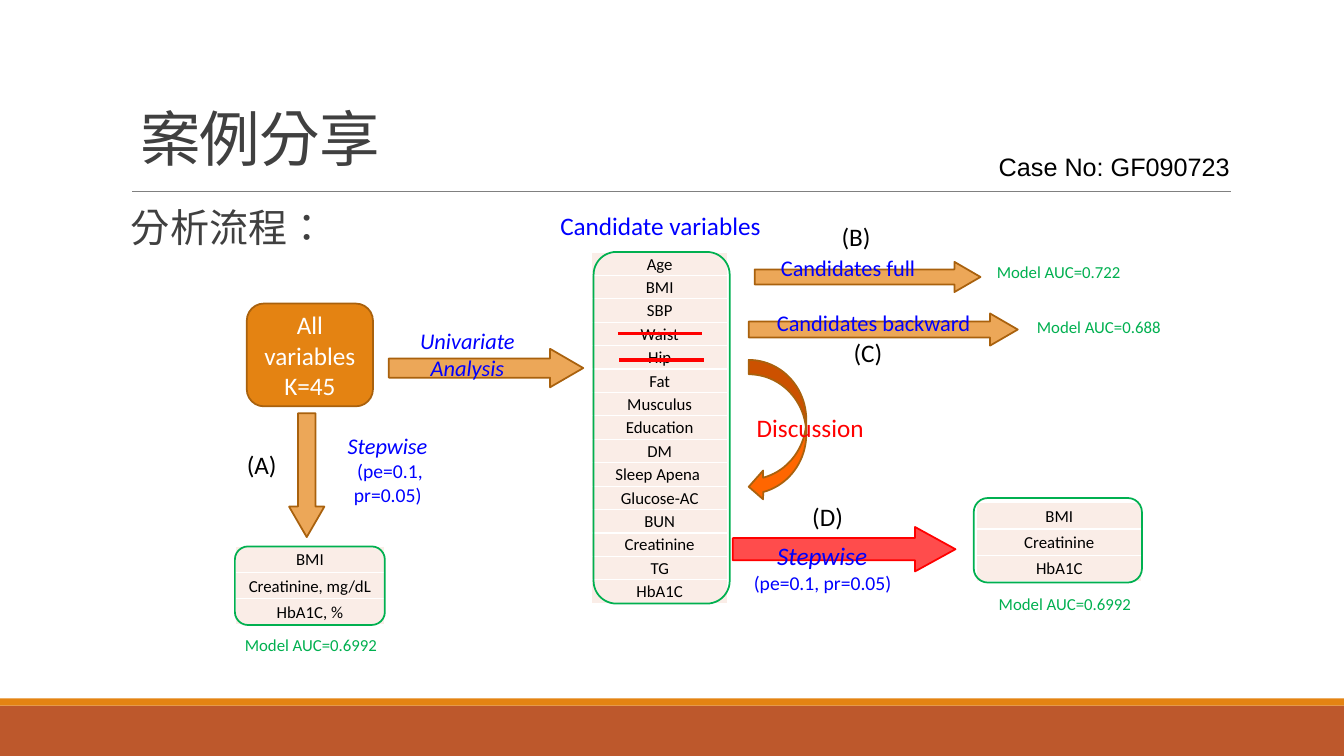
from dataclasses import dataclass

import pptx
import pptx.dml.color
import pptx.enum.shapes
import pptx.enum.text
import pptx.oxml
import pptx.oxml.ns
import pptx.util

Cm = pptx.util.Cm
Pt = pptx.util.Pt
SHAPE = pptx.enum.shapes.MSO_SHAPE
ALIGN = pptx.enum.text.PP_ALIGN
ANCHOR = pptx.enum.text.MSO_ANCHOR
qn = pptx.oxml.ns.qn

ORANGE, BROWN, RUST = "E48312", "A9610D", "BD582C"
BLUE, GREEN, RED = "0000FF", "00B050", "FF0000"
BLACK, WHITE, GREY, INK, BLUSH = "000000", "FFFFFF", "808080", "404040", "FAEDE7"
CJK = "Noto Sans CJK SC"


@dataclass
class Area:
    left: float
    top: float
    width: float
    height: float

    def lengths(self) -> tuple:
        return Cm(self.left), Cm(self.top), Cm(self.width), Cm(self.height)


@dataclass
class Line:
    text: str
    size: float = 18
    italic: bool = False


@dataclass
class Label:
    area: Area
    lines: list[Line]
    colour: str = BLUE
    wrap: bool = False
    align: ALIGN = ALIGN.LEFT
    font: str = "Calibri"


@dataclass
class Arrow:
    area: Area
    fill: str = ORANGE
    outline: str = BROWN
    rotation: float = 0
    head: float = 0.862


@dataclass
class VariableList:
    area: Area
    outline: Area
    names: list[str]


def rgb(colour: str) -> pptx.dml.color.RGBColor:
    return pptx.dml.color.RGBColor.from_string(colour)


def style(para, size: float, colour: str, font: str = "Calibri", italic: bool = False) -> None:
    para.font.name, para.font.size, para.font.italic = font, Pt(size), italic
    para.font.color.rgb = rgb(colour)


def write(frame, lines: list[Line], colour: str, align: ALIGN, font: str = "Calibri") -> None:
    for number, line in enumerate(lines):
        para = frame.add_paragraph() if number else frame.paragraphs[0]
        para.text, para.alignment = line.text, align
        style(para, line.size, colour, font, line.italic)


def add_box(page, kind: SHAPE, area: Area, fill: str = "", outline: str = "", opacity: int = 100):
    box = page.shapes.add_shape(kind, *area.lengths())
    box.shadow.inherit = False
    if fill:
        box.fill.solid()
        box.fill.fore_color.rgb = rgb(fill)
        if opacity < 100:
            tint = box.element.spPr.find(".//" + qn("a:srgbClr"))
            tint.append(tint.makeelement(qn("a:alpha"), {"val": str(opacity * 1000)}))
    else:
        box.fill.background()
    if outline:
        box.line.color.rgb = rgb(outline)
        box.line.width = Pt(1.25)
    else:
        box.line.fill.background()
    return box


def add_arrow(page, arrow: Arrow) -> None:
    box = add_box(page, SHAPE.RIGHT_ARROW, arrow.area, arrow.fill, arrow.outline, opacity=70)
    box.adjustments[1] = arrow.head
    box.rotation = arrow.rotation


def add_line(page, left: float, right: float, top: float, colour: str, width: float) -> None:
    line = page.shapes.add_connector(
        pptx.enum.shapes.MSO_CONNECTOR.STRAIGHT, Cm(left), Cm(top), Cm(right), Cm(top))
    line.line.color.rgb = rgb(colour)
    line.line.width = Pt(width)
    properties = line.element.spPr
    properties.append(properties.makeelement(qn("a:effectLst"), {}))


def add_label(page, label: Label) -> None:
    frame = page.shapes.add_textbox(*label.area.lengths()).text_frame
    frame.word_wrap = label.wrap
    frame.auto_size = pptx.enum.text.MSO_AUTO_SIZE.SHAPE_TO_FIT_TEXT
    write(frame, label.lines, label.colour, label.align, label.font)


def add_variables(page, variables: VariableList) -> None:
    count = len(variables.names)
    table = page.shapes.add_table(count, 1, *variables.area.lengths()).table
    table.first_row = table.horz_banding = False
    for row, name in zip(table.rows, variables.names):
        row.height = Cm(variables.area.height / count)
        cell = row.cells[0]
        cell.margin_left = cell.margin_right = cell.margin_top = Cm(0.03)
        cell.margin_bottom = 0
        cell.vertical_anchor = ANCHOR.MIDDLE
        write(cell.text_frame, [Line(name, 12)], BLACK, ALIGN.CENTER)
        borders = cell._tc.get_or_add_tcPr()
        for side in ("lnL", "lnR", "lnT", "lnB"):
            borders.append(pptx.oxml.parse_xml(
                f'<a:{side} {pptx.oxml.ns.nsdecls("a")} w="12700"><a:solidFill>'
                f'<a:srgbClr val="{WHITE}"/></a:solidFill></a:{side}>'))
        cell.fill.solid()
        cell.fill.fore_color.rgb = rgb(BLUSH)
    add_box(page, SHAPE.ROUNDED_RECTANGLE, variables.outline, outline=GREEN)


def fill_placeholder(holder, area: Area, text: str, size: float, spacing: float):
    holder.left, holder.top, holder.width, holder.height = area.lengths()
    holder.text_frame.auto_size = pptx.enum.text.MSO_AUTO_SIZE.NONE
    para = holder.text_frame.paragraphs[0]
    para.text, para.alignment, para.line_spacing = text, ALIGN.LEFT, spacing
    style(para, size, INK, CJK)
    fonts = para.font._element
    fonts.set("lang", "zh-TW")
    fonts.append(fonts.makeelement(qn("a:ea"), {"typeface": CJK}))
    return para


VARIABLES = [
    VariableList(Area(14.91, 6.35, 3.43, 8.86), Area(14.96, 6.35, 3.43, 8.86),
                 ["Age", "BMI", "SBP", "Waist", "Hip", "Fat", "Musculus", "Education", "DM",
                  "Sleep Apena ", "Glucose-AC", "BUN", "Creatinine", "TG", "HbA1C"]),
    VariableList(Area(5.92, 13.77, 3.78, 1.98), Area(5.92, 13.77, 3.78, 1.98),
                 ["BMI", "Creatinine, mg/dL", "HbA1C, %"]),
    VariableList(Area(24.61, 12.67, 4.17, 1.98), Area(24.54, 12.55, 4.24, 2.13),
                 ["BMI", "Creatinine", "HbA1C"]),
]
ARROWS = [
    Arrow(Area(9.8, 8.79, 4.9, 0.97)),
    Arrow(Area(6.17, 11.53, 3.12, 0.89), rotation=90),
    Arrow(Area(18.87, 7.9, 6.78, 0.81)),
    Arrow(Area(19.02, 6.6, 5.69, 0.76)),
    Arrow(Area(18.47, 13.28, 5.61, 1.12), RED, RED, head=0.91),
]
LIMITS = Line("(pe=0.1, pr=0.05) ", 14)
LABELS = [
    Label(Area(24.92, 3.68, 6.4, 1.02), [Line("Case No: GF090723")], BLACK, font="Arial"),
    Label(Area(13.87, 5.18, 5.61, 1.02), [Line("Candidate variables")]),
    Label(Area(10.19, 8.13, 3.18, 1.63), [Line("Univariate Analysis", 16, True)],
          wrap=True, align=ALIGN.CENTER),
    Label(Area(7.85, 10.77, 3.96, 1.55), [Line("Stepwise ", 16, True), LIMITS],
          wrap=True, align=ALIGN.CENTER),
    Label(Area(18.72, 13.49, 4.14, 1.63), [Line("Stepwise ", 18, True), LIMITS],
          align=ALIGN.CENTER),
    Label(Area(19.33, 7.67, 5.89, 0.94), [Line("Candidates backward", 16)], wrap=True),
    Label(Area(19.43, 6.27, 3.94, 0.94), [Line("Candidates full", 16)]),
    Label(Area(18.82, 10.26, 3.35, 1.02), [Line("Discussion")], RED, wrap=True),
]
LABELS += [Label(Area(left, top, width, 0.76), [Line(f"Model AUC={score}", 12)], GREEN)
           for left, top, width, score in [
               (5.92, 15.88, 3.89, "0.6992"), (24.92, 14.83, 3.89, "0.6992"),
               (24.87, 6.48, 3.68, "0.722"), (25.88, 7.85, 3.68, "0.688")]]
LABELS += [Label(Area(left, top, 1.4, 1.02), [Line(f"({letter})")], BLACK)
           for letter, left, top in [
               ("A", 5.97, 11.2), ("B", 20.96, 5.46), ("C", 21.26, 8.38), ("D", 20.22, 12.5)]]


def main() -> None:
    deck = pptx.Presentation()
    deck.slide_width, deck.slide_height = Cm(33.87), Cm(19.05)
    page = deck.slides.add_slide(deck.slide_layouts[1])

    # Title and heading
    title, body = page.shapes.title, page.placeholders[1]
    para = fill_placeholder(title, Area(3.28, 2.54, 27.94, 1.96), "案例分享", 43.2, 0.85)
    para.font._element.set("spc", "-50")
    title.text_frame.vertical_anchor = ANCHOR.BOTTOM
    para = fill_placeholder(body, Area(3.05, 5.13, 27.94, 11.18), "分析流程：", 28, 0.9)
    para.space_before, para.space_after = Pt(12), Pt(2)
    body.text_frame.margin_left = body.text_frame.margin_right = 0
    indents = para._p.get_or_add_pPr()
    indents.set("marL", str(Cm(0.25)))
    indents.set("indent", "0")
    indents.find(qn("a:defRPr")).addprevious(indents.makeelement(qn("a:buNone"), {}))

    # Footer bars and title rule
    add_box(page, SHAPE.RECTANGLE, Area(0, 17.78, 33.87, 1.27), RUST)
    add_box(page, SHAPE.RECTANGLE, Area(0, 17.6, 33.87, 0.18), ORANGE)
    add_line(page, 3.33, 31.01, 4.83, GREY, 0.5)

    # Variables and arrows
    start = add_box(page, SHAPE.ROUNDED_RECTANGLE, Area(6.22, 7.65, 3.18, 2.59), ORANGE, BROWN)
    start.text_frame.vertical_anchor = ANCHOR.MIDDLE
    write(start.text_frame, [Line("All variables"), Line("K=45")], WHITE, ALIGN.CENTER)
    for variables in VARIABLES:
        add_variables(page, variables)
    for arrow in ARROWS:
        add_arrow(page, arrow)
    add_box(page, SHAPE.CURVED_LEFT_ARROW, Area(18.87, 9.07, 1.45, 3.56), "FF6600", BROWN)

    # Struck-out variables and labels
    add_line(page, 15.57, 17.7, 8.41, RED, 2.25)
    add_line(page, 15.6, 17.75, 9.07, RED, 2.25)
    for label in LABELS:
        add_label(page, label)

    deck.save("out.pptx")


if __name__ == "__main__":
    main()
